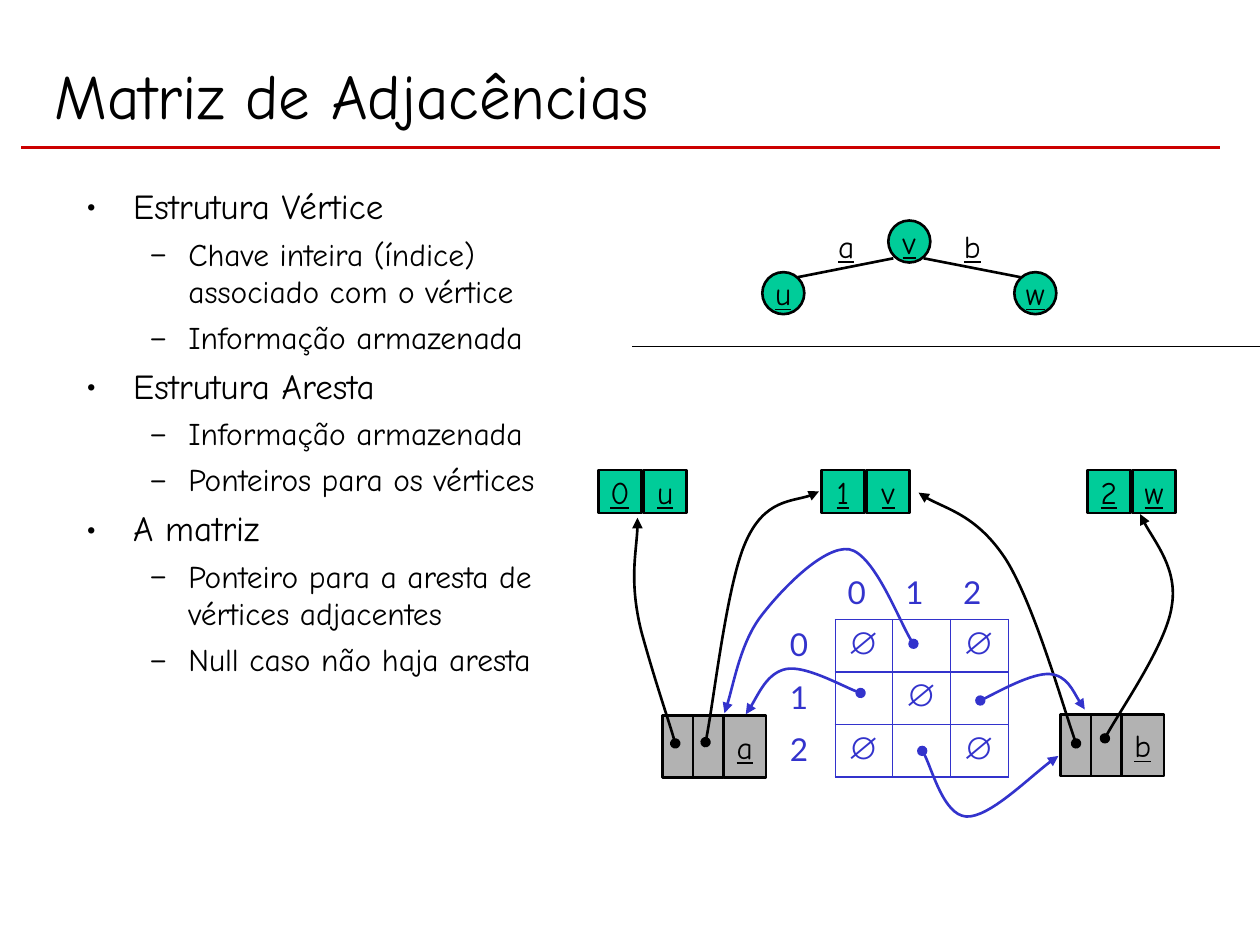
from itertools import product

from lxml import etree
from pptx import Presentation
from pptx import util as u
from pptx.dml.color import RGBColor
from pptx.enum import shapes, text
from pptx.oxml import ns

Pt = u.Pt
BLACK = RGBColor(0x00, 0x00, 0x00)
RED = RGBColor(0xCC, 0x00, 0x00)
GREEN = RGBColor(0x00, 0xCC, 0x99)
GRAY = RGBColor(0xB2, 0xB2, 0xB2)
BLUE = RGBColor(0x33, 0x33, 0xCC)
HAND = "Comic Neue"

TITLE = "Matriz de Adjacências"
TOPICS = [
    ("Estrutura Vértice", ["Chave inteira (índice) associado com o vértice",
                           "Informação armazenada"]),
    ("Estrutura Aresta", ["Informação armazenada", "Ponteiros para os vértices"]),
    ("A matriz", ["Ponteiro para a aresta de vértices adjacentes",
                  "Null caso não haja aresta"]),
]
BULLETS = [("•", 20, 5, 27, -27), ("–", 18, 4.5, 58.5, -22.5)]
NODES = [("u", 435.6, 155.5), ("v", 507.6, 126), ("w", 579.6, 155.5)]
EDGE_LABELS = [("a", 471.6), ("b", 543.6)]
LINES = [
    (12.2, 84.2, 697, 84.2, RED, 1.5),
    (527.8, 147.6, 583.2, 158.4, BLACK, 1.5),
    (510.5, 147.6, 455.8, 158.4, BLACK, 1.5),
    (361.4, 198, 720, 198, BLACK, 0.75),
]
VERTEX_RECORDS = [("0", "u", 342), ("1", "v", 469.4), ("2", "w", 621.4)]
EDGE_RECORDS = [("a", 378.7, 409), ("b", 606.2, 408.2)]
MATRIX = [
    ["", "0", "1", "2"],
    ["0", "∅", "", "∅"],
    ["1", "", "∅", ""],
    ["2", "∅", "", "∅"],
]
POINTERS = [
    (BLACK, [(403.2, 424.1), (407.5, 404.6), (415.4, 333.4), (426.2, 309.6),
             (437, 285.1), (459.4, 286.6), (468, 280.8)]),
    (BLACK, [(385.9, 424.8), (383, 414), (374.4, 389.5), (366.5, 360.7),
             (359.3, 331.9), (365, 309.6), (364.3, 295.9)]),
    (BLACK, [(614.9, 424.8), (608.4, 406.8), (591.1, 346.3), (575.3, 320.4),
             (558.7, 294.5), (535, 289.4), (524.9, 281.5)]),
    (BLACK, [(631.4, 421.9), (637.9, 409), (666.7, 367.9), (669.6, 346.3),
             (673.2, 325.4), (655.9, 304.6), (651.6, 293.8)]),
    (BLUE, [(491.8, 396), (484.6, 393.8), (460.1, 380.2), (449.3, 382.3),
            (438.5, 384.5), (430.6, 402.5), (426.2, 408.2)]),
    (BLUE, [(522, 367.9), (515.5, 359.3), (499.7, 316.8), (485.3, 313.9),
            (470.9, 311.8), (447.1, 336.2), (434.9, 352.1),
            (423.4, 367.2), (418.3, 396), (414, 407.5)]),
    (BLUE, [(560.2, 400.3), (566.6, 397.4), (589.7, 384.5), (599.8, 385.2),
            (609.8, 385.9), (616.3, 401), (619.9, 405.4)]),
    (BLUE, [(527, 429.1), (531.4, 434.9), (539.3, 465.8), (552.2, 466.6),
            (565.2, 467.3), (593.3, 439.2), (604.8, 432)]),
]


def add_xml(parent, tag, **attributes):
    return etree.SubElement(parent, ns.qn(tag), attributes)


def style_text(para, size, color=BLACK, name=HAND, **extras):
    for span in para.runs:
        span.font.size = Pt(size)
        span.font.name = name
        span.font.color.rgb = color
        for key, value in extras.items():
            setattr(span.font, key, value)


def add_text(page, left, top, width, height):
    box = page.shapes.add_textbox(Pt(left), Pt(top), Pt(width), Pt(height))
    box.text_frame.word_wrap = True
    return box.text_frame


def write_symbol(frame, symbol):
    frame.word_wrap = False
    frame.text = symbol
    frame.paragraphs[0].alignment = text.PP_ALIGN.CENTER
    style_text(frame.paragraphs[0], 18, underline=True)


def add_box(page, kind, left, top, width, height, fill, symbol=""):
    box = page.shapes.add_shape(kind, Pt(left), Pt(top), Pt(width), Pt(height))
    box.shadow.inherit = False
    box.fill.solid()
    box.fill.fore_color.rgb = fill
    box.line.color.rgb = BLACK
    box.line.width = Pt(1.5)
    if symbol:
        box.text_frame.vertical_anchor = text.MSO_ANCHOR.MIDDLE
        write_symbol(box.text_frame, symbol)


def add_line(page, x1, y1, x2, y2, color, width):
    line = page.shapes.add_connector(
        shapes.MSO_CONNECTOR.STRAIGHT, Pt(x1), Pt(y1), Pt(x2), Pt(y2))
    line.line.color.rgb = color
    line.line.width = Pt(width)
    add_xml(line._element.spPr, "a:effectLst")


def add_pointer(page, color, points):
    start, *rest = [(Pt(x), Pt(y)) for x, y in points]
    builder = page.shapes.build_freeform(*start)
    builder.add_line_segments(rest, close=False)
    curve = builder.convert_to_shape()
    curve.shadow.inherit = False
    curve.fill.background()
    curve.line.color.rgb = color
    curve.line.width = Pt(1.5)
    segments = list(curve._element.iter(ns.qn("a:lnTo")))
    outline = segments[0].getparent()
    for first in range(0, len(segments), 3):
        bezier = add_xml(outline, "a:cubicBezTo")
        for segment in segments[first:first + 3]:
            bezier.append(segment[0])
            outline.remove(segment)
    stroke = curve.line._get_or_add_ln()
    add_xml(stroke, "a:headEnd", type="oval")
    add_xml(stroke, "a:tailEnd", type="triangle")


def set_borders(cell, visible):
    properties = cell._tc.get_or_add_tcPr()
    for side in "LRTB":
        border = add_xml(properties, f"a:ln{side}", w=str(Pt(0.75)))
        if side in visible:
            fill = add_xml(border, "a:solidFill")
            add_xml(fill, "a:srgbClr", val=str(BLUE))
        else:
            add_xml(border, "a:noFill")
    cell.fill.background()


def add_topics(page):
    frame = add_text(page, 42, 102, 300, 366)
    items = [item for head, details in TOPICS
             for item in [(0, head)] + [(1, detail) for detail in details]]
    for index, (level, words) in enumerate(items):
        para = frame.add_paragraph() if index else frame.paragraphs[0]
        mark, size, gap, margin, indent = BULLETS[level]
        para.text = words
        para.level = level
        para.space_before = Pt(gap)
        style_text(para, size)
        properties = para._p.get_or_add_pPr()
        properties.set("marL", str(Pt(margin)))
        properties.set("indent", str(Pt(indent)))
        add_xml(add_xml(properties, "a:buClr"), "a:srgbClr", val=str(BLACK))
        add_xml(properties, "a:buFont", typeface=HAND)
        add_xml(properties, "a:buChar", char=mark)


def add_matrix(page):
    table = page.shapes.add_table(4, 4, Pt(444.2), Pt(324), Pt(132), Pt(120)).table
    table.first_row = False
    table.horz_banding = False
    for row, column in product(range(4), repeat=2):
        cell = table.cell(row, column)
        symbol = MATRIX[row][column]
        if symbol:
            para = cell.text_frame.paragraphs[0]
            para.text = symbol
            para.space_before = Pt(4.5)
            inside = symbol == "∅"
            style_text(para, 18, BLUE, "Arial" if inside else "Lato", bold=inside)
        if row and column:
            set_borders(cell, "LRTB")
        else:
            set_borders(cell, "R" if row else "B" if column else "")


def main():
    deck = Presentation()
    deck.slide_width, deck.slide_height = Pt(720), Pt(540)
    page = deck.slides.add_slide(deck.slide_layouts[6])
    for line in LINES:
        add_line(page, *line)
    title = add_text(page, 24, 18, 648, 72)
    title.vertical_anchor = text.MSO_ANCHOR.MIDDLE
    title.text = TITLE
    style_text(title.paragraphs[0], 36)
    add_topics(page)

    for symbol, left, top in NODES:
        add_box(page, shapes.MSO_SHAPE.OVAL, left, top, 24, 24, GREEN, symbol)
    for symbol, left in EDGE_LABELS:
        label = add_text(page, left, 126, 24, 28.8)
        write_symbol(label, symbol)
        label.auto_size = text.MSO_AUTO_SIZE.SHAPE_TO_FIT_TEXT
    add_matrix(page)
    rectangle = shapes.MSO_SHAPE.RECTANGLE
    for key, symbol, left in VERTEX_RECORDS:
        for column, value in enumerate((key, symbol)):
            add_box(page, rectangle, left + 25.9 * column, 268.6, 24.5, 24.5, GREEN, value)
    for symbol, left, top in EDGE_RECORDS:
        for offset, width, value in [(0, 17.3, ""), (17.3, 17.3, ""), (34.6, 24.5, symbol)]:
            add_box(page, rectangle, left + offset, top, width, 35.3, GRAY, value)
    for color, points in POINTERS:
        add_pointer(page, color, points)
    deck.save("out.pptx")


if __name__ == "__main__":
    main()
